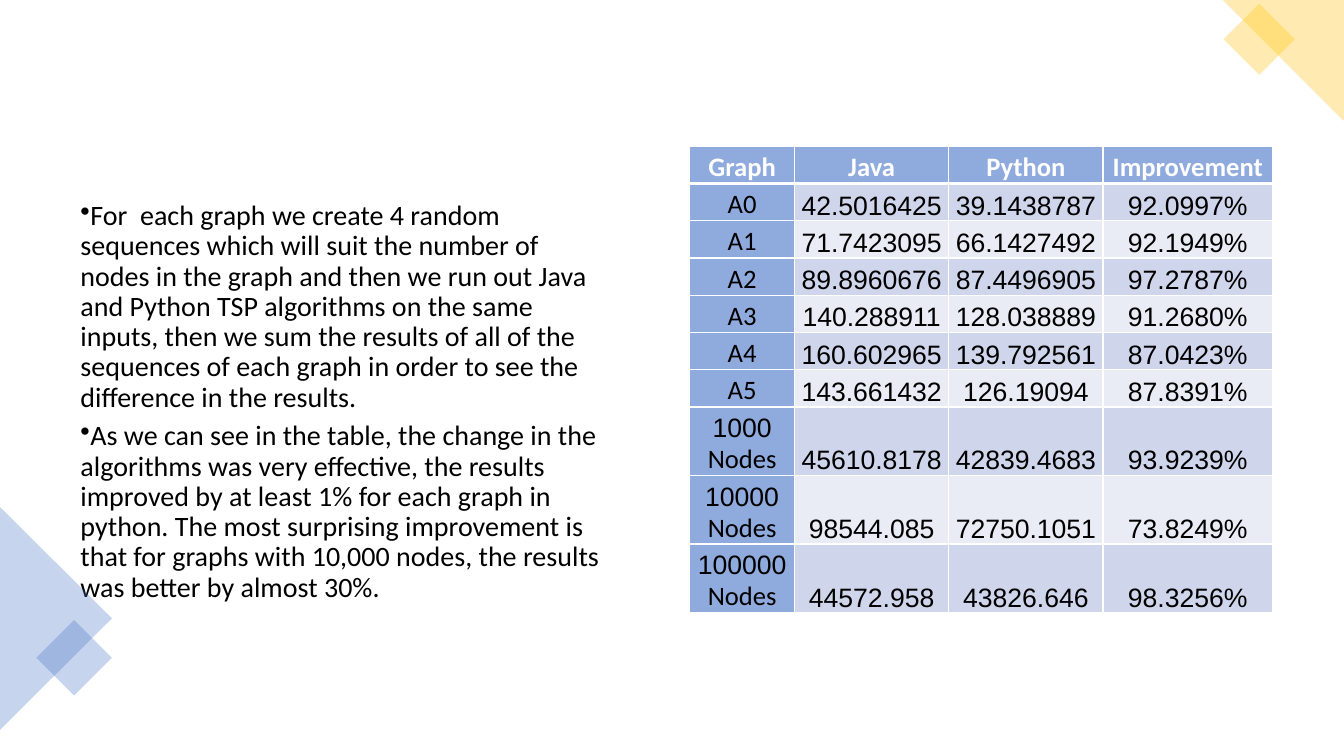
from lxml import etree
from pptx import Presentation
from pptx import util as u
from pptx.dml import color
from pptx.enum import shapes, text
from pptx.oxml import ns

NOTES = [
    "For  each graph we create 4 random sequences which will suit the number of nodes in the graph "
    "and then we run out Java and Python TSP algorithms on the same inputs, then we sum the results "
    "of all of the sequences of each graph in order to see the difference in the results.",
    "As we can see in the table, the change in the algorithms was very effective, the results improved "
    "by at least 1% for each graph in python. The most surprising improvement is that for graphs with "
    "10,000 nodes, the results was better by almost 30%.",
]
RESULTS = [
    ("Graph", "Java", "Python", "Improvement"),
    ("A0", "42.5016425", "39.1438787", "92.0997%"),
    ("A1", "71.7423095", "66.1427492", "92.1949%"),
    ("A2", "89.8960676", "87.4496905", "97.2787%"),
    ("A3", "140.288911", "128.038889", "91.2680%"),
    ("A4", "160.602965", "139.792561", "87.0423%"),
    ("A5", "143.661432", "126.19094", "87.8391%"),
    ("1000 Nodes", "45610.8178", "42839.4683", "93.9239%"),
    ("10000 Nodes", "98544.085", "72750.1051", "73.8249%"),
    ("100000 Nodes", "44572.958", "43826.646", "98.3256%"),
]
COLUMN_WIDTHS = [1.04, 1.53, 1.53, 1.68]
BLUE, GOLD = "4472C4", "FFC000"
HEADING_FILL, BAND_FILLS = "8FAADC", ("E9EBF5", "CFD5EA")


def paint(fill, value):
    """Give a fill one solid colour."""
    fill.solid()
    fill.fore_color.rgb = color.RGBColor.from_string(value)


def add_span(para, words, size, value, bold=False):
    """Add one run of Calibri text."""
    span = para.add_run()
    span.text = words
    span.font.name = "Calibri"
    span.font.size = u.Pt(size)
    span.font.bold = bold
    paint(span.font.fill, value)
    return span


def add_notes(page, left, top, width, height):
    """Place the bulleted explanation in the given box."""
    box = page.shapes.add_textbox(*map(u.Inches, (left, top, width, height)))
    frame = box.text_frame
    frame.word_wrap = True
    for index, words in enumerate(NOTES):
        para = frame.add_paragraph() if index else frame.paragraphs[0]
        para.line_spacing = 0.9
        para.space_after = u.Pt(6)
        properties = para._p.get_or_add_pPr()
        properties.set("marL", "0")
        properties.set("indent", str(u.Inches(-0.25)))
        etree.SubElement(properties, ns.qn("a:buChar")).set("char", "•")
        add_span(para, words, 20, "000000")


def add_tinted_shape(page, kind, left, top, width, height, turn, value, peak=None):
    """Place one rotated, see-through shape."""
    shape = page.shapes.add_shape(kind, *map(u.Inches, (left, top, width, height)))
    shape.shadow.inherit = False
    shape.rotation = turn
    shape.line.fill.background()
    paint(shape.fill, value)
    tint = shape._element.spPr.find(".//" + ns.qn("a:srgbClr"))
    etree.SubElement(tint, ns.qn("a:alpha")).set("val", "30000")
    if peak is not None:
        shape.adjustments[0] = peak


def add_left_corner(page, left, top):
    """Place the blue triangle and square at the lower left."""
    kinds = shapes.MSO_SHAPE
    add_tinted_shape(page, kinds.ISOSCELES_TRIANGLE, left - 0.55, top + 0.55, 2.21, 1.11, 90, BLUE, 0.5)
    add_tinted_shape(page, kinds.RECTANGLE, left + 0.47, top + 1.23, 0.53, 0.53, 45, BLUE)


def add_right_corner(page, left, top):
    """Place the gold triangle and square at the upper right."""
    kinds = shapes.MSO_SHAPE
    add_tinted_shape(page, kinds.ISOSCELES_TRIANGLE, left, top, 1.2, 1.2, 270, GOLD, 1)
    add_tinted_shape(page, kinds.RECTANGLE, left + 0.11, top + 0.14, 0.5, 0.5, 45, GOLD)


def add_borders(cell, row):
    """Draw white cell borders, thicker beneath the header."""
    properties = cell._tc.get_or_add_tcPr()
    points = {"L": 1, "R": 1, "T": 3 if row == 1 else 1, "B": 3 if row == 0 else 1}
    for index, (side, width) in enumerate(points.items()):
        line = etree.Element(ns.qn("a:ln" + side), w=str(u.Pt(width)))
        solid = etree.SubElement(line, ns.qn("a:solidFill"))
        etree.SubElement(solid, ns.qn("a:srgbClr")).set("val", "FFFFFF")
        properties.insert(index, line)


def fill_cell(cell, words, row, column):
    """Write and colour one table cell."""
    heading = row == 0 or column == 0
    paint(cell.fill, HEADING_FILL if heading else BAND_FILLS[row % 2])
    cell.margin_left = cell.margin_right = cell.margin_top = u.Inches(0.01)
    cell.margin_bottom = 0
    cell.vertical_anchor = text.MSO_ANCHOR.BOTTOM
    para = cell.text_frame.paragraphs[0]
    para.alignment = text.PP_ALIGN.CENTER
    para._p.get_or_add_pPr().set("rtl", "1")
    span = add_span(para, words, 19, "000000" if row else "FFFFFF", row == 0)
    etree.SubElement(span._r.get_or_add_rPr(), ns.qn("a:cs")).set("typeface", "Arial")
    add_borders(cell, row)


def add_results(page, left, top, width, height):
    """Place the comparison table in the given box."""
    frame = page.shapes.add_table(
        len(RESULTS), len(COLUMN_WIDTHS), *map(u.Inches, (left, top, width, height)))
    table = frame.table
    table.first_row = table.horz_banding = False
    for column, size in zip(table.columns, COLUMN_WIDTHS):
        column.width = u.Inches(size)
    for row, values in enumerate(RESULTS):
        table.rows[row].height = u.Inches(0.68 if "Nodes" in values[0] else 0.37)
        for column, words in enumerate(values):
            fill_cell(table.cell(row, column), words, row, column)


def main():
    """Build and save the slide."""
    deck = Presentation()
    deck.slide_width, deck.slide_height = u.Inches(13.33), u.Inches(7.5)
    page = deck.slides.add_slide(deck.slide_layouts[6])
    add_notes(page, 0.7, 1.95, 5.44, 4.81)
    add_left_corner(page, 0, 5.03)
    add_right_corner(page, 12.13, 0)
    add_results(page, 6.84, 1.45, 5.78, 4.6)
    deck.save("out.pptx")


if __name__ == "__main__":
    main()
